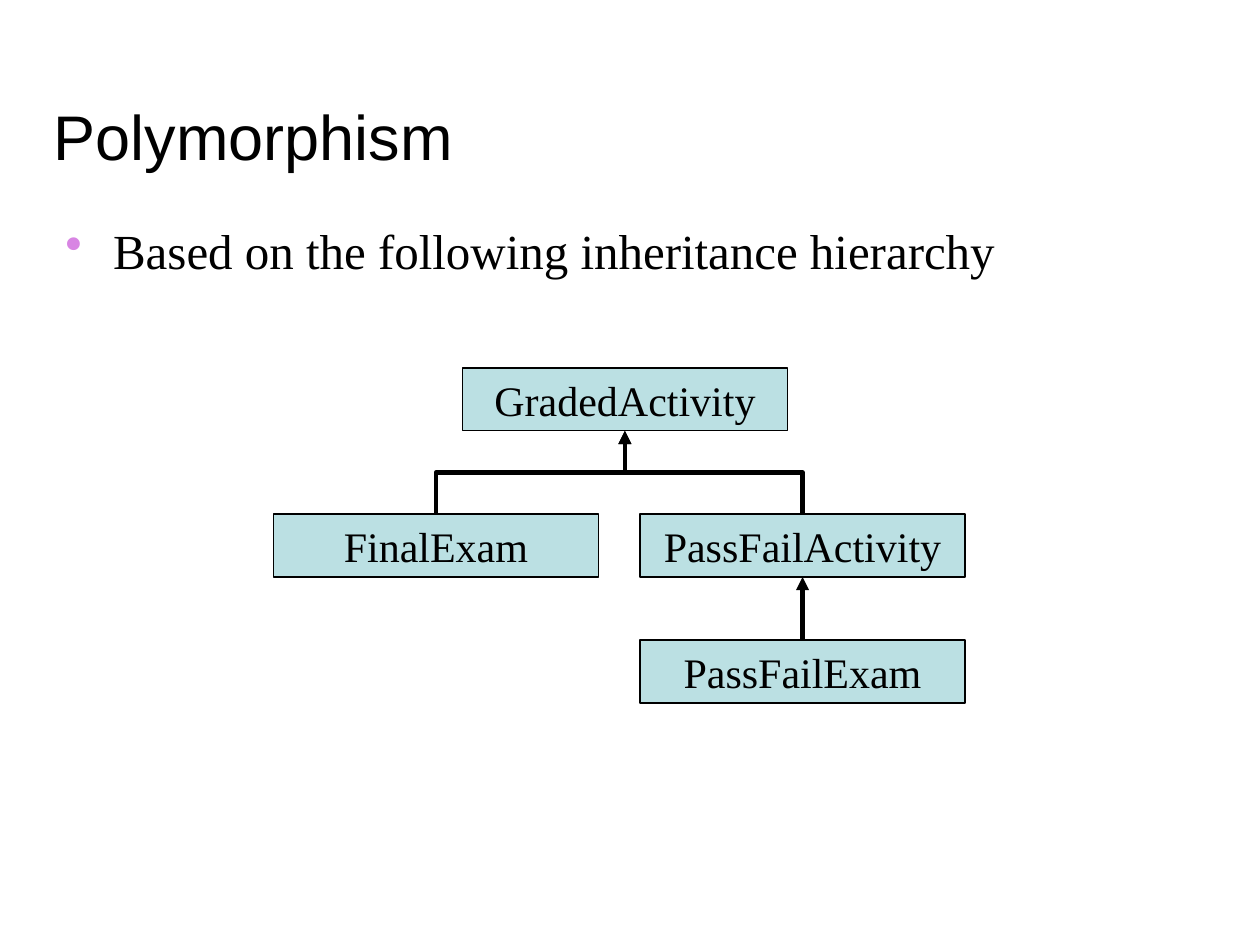
from dataclasses import dataclass

from lxml import etree
from pptx import Presentation
from pptx.dml.color import RGBColor
from pptx.enum.shapes import MSO_CONNECTOR, MSO_SHAPE
from pptx.enum.text import MSO_ANCHOR, PP_ALIGN
from pptx.oxml.ns import qn
from pptx.util import Inches, Pt

RECTANGLE = MSO_SHAPE.RECTANGLE
STRAIGHT, ELBOW = MSO_CONNECTOR.STRAIGHT, MSO_CONNECTOR.ELBOW
LEFT, CENTER = PP_ALIGN.LEFT, PP_ALIGN.CENTER
TOP, MIDDLE, BOTTOM = MSO_ANCHOR.TOP, MSO_ANCHOR.MIDDLE, MSO_ANCHOR.BOTTOM
TOP_SITE, BOTTOM_SITE = 0, 2


@dataclass(frozen=True)
class Theme:
    ink: RGBColor = RGBColor(0, 0, 0)
    class_fill: RGBColor = RGBColor(0xBB, 0xE0, 0xE3)
    bullet: str = "D885E3"
    heading_font: str = "Arial"
    body_font: str = "Times New Roman"
    title_size: Pt = Pt(36)
    body_size: Pt = Pt(28)
    class_size: Pt = Pt(24)
    box_line: Pt = Pt(0.75)
    arrow_line: Pt = Pt(2.5)


THEME = Theme()


def write_text(shape, text, *, size, font=THEME.body_font, align=LEFT,
               anchor=TOP, wrap=True, bullet=None):
    frame = shape.text_frame
    frame.word_wrap = wrap
    frame.vertical_anchor = anchor
    paragraph = frame.paragraphs[0]
    paragraph.alignment = align
    if bullet:
        properties = paragraph._p.get_or_add_pPr()
        properties.set("marL", str(Inches(0.38)))
        properties.set("indent", str(Inches(-0.38)))
        paragraph.line_spacing = 0.9
        color = etree.SubElement(properties, qn("a:buClr"))
        etree.SubElement(color, qn("a:srgbClr"), val=bullet)
        etree.SubElement(properties, qn("a:buChar"), char="•")
    run = paragraph.add_run()
    run.text = text
    run.font.name = font
    run.font.size = size
    run.font.color.rgb = THEME.ink


presentation = Presentation()
presentation.slide_width, presentation.slide_height = Inches(10), Inches(7.5)
slide = presentation.slides.add_slide(presentation.slide_layouts[6])
shapes = slide.shapes

title = shapes.add_textbox(Inches(0.33), Inches(0.33), Inches(9.42), Inches(1.09))
write_text(title, "Polymorphism", size=THEME.title_size,
           font=THEME.heading_font, anchor=BOTTOM)

introduction = shapes.add_textbox(Inches(0.42), Inches(1.75), Inches(8.5), Inches(2))
introduction.text_frame.margin_right = 0
write_text(introduction, "Based on the following inheritance hierarchy",
           size=THEME.body_size, bullet=THEME.bullet)

# Class boxes: name, left, top
classes = {}
for name, left, top in [
    ("GradedActivity", 3.67, 2.92),
    ("FinalExam", 2.17, 4.08),
    ("PassFailActivity", 5.08, 4.08),
    ("PassFailExam", 5.08, 5.08),
]:
    box = shapes.add_shape(RECTANGLE, Inches(left), Inches(top), Inches(2.58), Inches(0.5))
    box.shadow.inherit = False
    box.fill.solid()
    box.fill.fore_color.rgb = THEME.class_fill
    box.line.color.rgb = THEME.ink
    box.line.width = THEME.box_line
    write_text(box, name, size=THEME.class_size, align=CENTER, anchor=MIDDLE, wrap=False)
    classes[name] = box

# Inheritance arrows run from subclass to superclass
for subclass, superclass in [
    ("PassFailExam", "PassFailActivity"),
    ("PassFailActivity", "GradedActivity"),
    ("FinalExam", "GradedActivity"),
]:
    child, parent = classes[subclass], classes[superclass]
    is_straight = child.left == parent.left
    arrow = shapes.add_connector(STRAIGHT if is_straight else ELBOW, 0, 0, 0, 0)
    arrow.begin_connect(child, TOP_SITE)
    arrow.end_connect(parent, BOTTOM_SITE)
    properties = arrow._element.spPr
    if not is_straight:
        # A quarter turn makes the elbow leave and arrive vertically
        center_x, center_y = arrow.left + arrow.width // 2, arrow.top + arrow.height // 2
        rise, run_length = arrow.height, arrow.width
        arrow.width, arrow.height = rise, run_length
        arrow.left, arrow.top = center_x - rise // 2, center_y - run_length // 2
        from_right = child.left > parent.left
        transform = properties.find(qn("a:xfrm"))
        transform.rot = 90 if from_right else 270
        transform.flipH, transform.flipV = from_right, False
    arrow.line.color.rgb = THEME.ink
    arrow.line.width = THEME.arrow_line
    etree.SubElement(properties.find(qn("a:ln")), qn("a:tailEnd"), type="triangle")
    etree.SubElement(properties, qn("a:effectLst"))

presentation.save("out.pptx")
